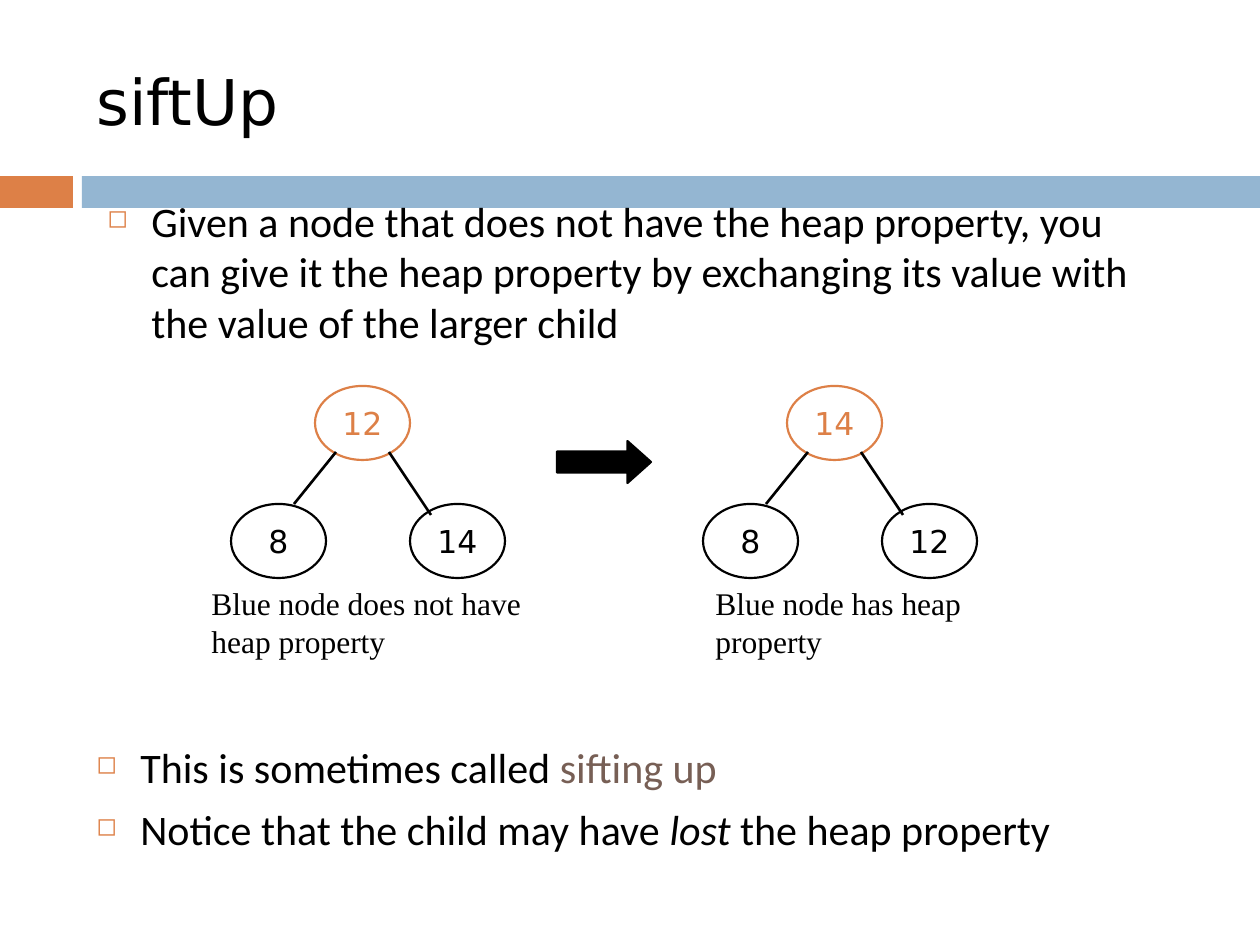
from lxml import etree
from pptx import Presentation
from pptx import util as u
from pptx.dml.color import RGBColor
from pptx.enum import shapes, text
from pptx.oxml.ns import qn

SCALE = 9144000 / 1260
BLACK, ORANGE, BLUE, BROWN = "000000", "DD8047", "94B6D2", "775F55"


def px(*lengths):
    """Turn px lengths into EMU."""
    return [u.Emu(round(n * SCALE)) for n in lengths]


def color(code):
    """Turn a hex string into a colour."""
    return RGBColor.from_string(code)


def add_run(p, words, size, font, code=BLACK, italic=None):
    """Add one formatted run to a paragraph."""
    r = p.add_run()
    r.text = words
    r.font.size, r.font.name, r.font.italic = u.Pt(size), font, italic
    r.font.color.rgb = color(code)


def add_block(parent, kind, box, fill=None, line=None):
    """Add a preset shape with the given fill and outline."""
    sp = parent.add_shape(kind, *px(*box))
    sp.shadow.inherit = False
    if fill:
        sp.fill.solid()
        sp.fill.fore_color.rgb = color(fill)
    else:
        sp.fill.background()
    if line:
        sp.line.color.rgb = color(line)
        sp.line.width = u.Pt(1.25)
    else:
        sp.line.fill.background()
    return sp


def add_textbox(parent, box):
    """Add a wrapping text box and return its text frame."""
    tf = parent.add_textbox(*px(*box)).text_frame
    tf.word_wrap = True
    return tf


def add_header(parent, title):
    """Add the title and the two-colour band under it."""
    add_block(parent, shapes.MSO_SHAPE.RECTANGLE, (0, 176, 73, 32), BLUE and ORANGE)
    add_block(parent, shapes.MSO_SHAPE.RECTANGLE, (82, 176, 1178, 32), BLUE)
    tf = add_textbox(parent, (84, 32, 1124, 136))
    tf.vertical_anchor = text.MSO_ANCHOR.MIDDLE
    add_run(tf.paragraphs[0], title, 36, "DejaVu Sans")


def add_bullets(parent, box, items):
    """Add a bulleted list whose items are lists of runs."""
    tf = add_textbox(parent, box)
    for i, runs in enumerate(items):
        p = tf.add_paragraph() if i else tf.paragraphs[0]
        p.space_before = u.Pt(7 if i else 0)
        pPr = p._p.get_or_add_pPr()
        indent = px(44)[0]
        pPr.set("marL", str(indent))
        pPr.set("indent", str(-indent))
        clr = etree.SubElement(pPr, qn("a:buClr"))
        etree.SubElement(clr, qn("a:srgbClr"), val=ORANGE)
        etree.SubElement(pPr, qn("a:buSzPct"), val="60000")
        etree.SubElement(pPr, qn("a:buChar"), char="◻")
        for words, code, italic in runs:
            add_run(p, words, 24, "Calibri", code, italic)


def add_node(parent, x, y, value, code):
    """Add one tree node with its value."""
    sp = add_block(parent, shapes.MSO_SHAPE.OVAL, (x, y, 95, 74), line=code)
    tf = sp.text_frame
    tf.word_wrap = False
    tf.vertical_anchor = text.MSO_ANCHOR.MIDDLE
    p = tf.paragraphs[0]
    p.alignment = text.PP_ALIGN.CENTER
    add_run(p, value, 18, "DejaVu Sans", code)


def add_edge(parent, x1, y1, x2, y2):
    """Add one straight tree edge."""
    c = parent.add_connector(shapes.MSO_CONNECTOR.STRAIGHT, *px(x1, y1, x2, y2))
    c.line.color.rgb = color(BLACK)
    c.line.width = u.Pt(1.5)
    etree.SubElement(c._element.spPr, qn("a:effectLst"))


def add_tree(parent, x, y, values, caption, caption_x, caption_w):
    """Add a grouped three-node heap with a caption below it."""
    group = parent.add_group_shape().shapes
    root, left, right = values
    add_node(group, x + 84, y, root, ORANGE)
    add_node(group, x, y + 118, left, BLACK)
    add_node(group, x + 179, y + 118, right, BLACK)
    add_edge(group, x + 105, y + 66, x + 63, y + 118)
    add_edge(group, x + 158, y + 66, x + 200, y + 129)
    tf = add_textbox(group, (x + caption_x, y + 192, caption_w, 113))
    add_run(tf.paragraphs[0], caption, 18, "Times New Roman")


def add_arrow(parent, box):
    """Add the block arrow between the trees."""
    sp = add_block(parent, shapes.MSO_SHAPE.RIGHT_ARROW, box, BLACK, BLACK)
    sp.adjustments[0], sp.adjustments[1] = 0.5, 0.56


def main():
    """Build and save the slide."""
    prs = Presentation()
    prs.slide_width, prs.slide_height = px(1260, 945)
    parent = prs.slides.add_slide(prs.slide_layouts[6]).shapes
    add_header(parent, "siftUp")
    add_bullets(parent, (95, 189, 1071, 210), [
        [("Given a node that does not have the heap property, you can give it "
          "the heap property by exchanging its value with the value of the "
          "larger child", BLACK, None)],
    ])
    add_bullets(parent, (84, 735, 1081, 179), [
        [("This is sometimes called ", BLACK, None), ("sifting up", BROWN, None)],
        [("Notice that the child may have ", BLACK, None), ("lost", BLACK, True),
         (" the heap property", BLACK, None)],
    ])
    add_tree(parent, 703, 386, ("14", "8", "12"),
             "Blue node has heap property", 0, 273)
    add_tree(parent, 231, 386, ("12", "8", "14"),
             "Blue node does not have heap property", -32, 357)
    add_arrow(parent, (557, 441, 94, 42))
    prs.save("out.pptx")


if __name__ == "__main__":
    main()
